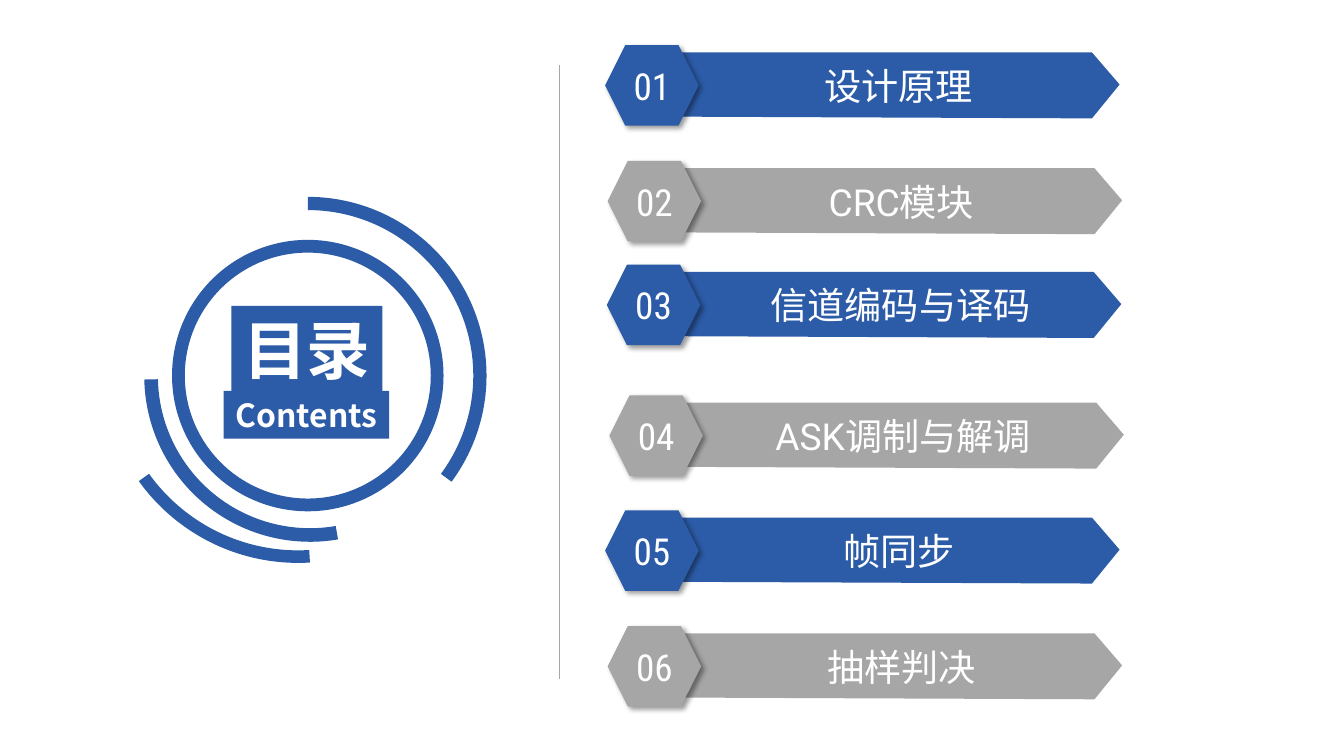
from dataclasses import dataclass

from lxml import etree
from pptx import Presentation
from pptx import util as u
from pptx.dml.color import RGBColor
from pptx.enum import shapes, text
from pptx.oxml.ns import qn

BLUE = RGBColor(0x2C, 0x5C, 0xA8)
GRAY = RGBColor(0xA6, 0xA6, 0xA6)
WHITE = RGBColor(0xFF, 0xFF, 0xFF)
HAN = "Noto Sans CJK SC"
KIND = shapes.MSO_SHAPE


@dataclass
class Row:
    left: float
    top: float
    label: str


@dataclass
class Ring:
    left: float
    top: float
    size: float
    kind: shapes.MSO_SHAPE
    bends: tuple[float, ...]
    turned: bool = False


@dataclass
class Plate:
    left: float
    top: float
    width: float
    height: float
    label: str
    size: float


ROWS = [
    Row(455.8, 34, "设计原理"),
    Row(457.7, 121.2, "CRC模块"),
    Row(457.1, 199.4, "信道编码与译码"),
    Row(459, 297.8, "ASK调制与解调"),
    Row(455.8, 384.4, "帧同步"),
    Row(457.7, 471.6, "抽样判决"),
]
PLATES = [
    Plate(174.2, 230.4, 113.8, 65.5, "目录", 48),
    Plate(168.5, 294.5, 124.6, 36, "Contents", 24),
]
RINGS = [
    Ring(97.2, 148.3, 269.3, KIND.BLOCK_ARC, (162.03, 21.86, 0.037)),
    Ring(108.7, 158.4, 249.8, KIND.BLOCK_ARC, (162.73, 5.82, 0.041), True),
    Ring(129.6, 180.7, 204.5, KIND.DONUT, (0.047,)),
    Ring(77, 128.9, 295.2, KIND.BLOCK_ARC, (183.38, 2.08, 0.032), True),
]
# Bar outline, measured from its top left corner
BAR = [(0, 0), (311.8, 0), (332.6, 24.2), (311.8, 49.7), (0, 48.4)]


def write(shape, words: str, *, size: float, font: str,
          bold: bool = False, wrap: bool = True) -> None:
    frame = shape.text_frame
    frame.word_wrap = wrap
    frame.vertical_anchor = text.MSO_ANCHOR.MIDDLE
    para = frame.paragraphs[0]
    para.alignment = text.PP_ALIGN.CENTER
    run = para.add_run()
    run.text = words
    run.font.size = u.Pt(size)
    run.font.bold = bold
    run.font.name = font
    run.font.color.rgb = WHITE
    etree.SubElement(run.font._element, qn("a:ea"), typeface=HAN)


def paint(shape, color: RGBColor) -> None:
    shape.shadow.inherit = False
    shape.fill.solid()
    shape.fill.fore_color.rgb = color
    shape.line.fill.background()


def add(slide, kind: shapes.MSO_SHAPE, left: float, top: float,
        width: float, height: float, color: RGBColor):
    shape = slide.shapes.add_shape(
        kind, u.Pt(left), u.Pt(top), u.Pt(width), u.Pt(height))
    paint(shape, color)
    return shape


def cast(shape) -> None:
    """Give the shape a soft shadow to the lower right."""
    effects = shape._element.spPr.find(qn("a:effectLst"))
    shade = etree.SubElement(
        effects, qn("a:outerShdw"), blurRad=str(u.Pt(4)), dist=str(u.Pt(3)),
        dir=str(45 * 60000), algn="tl", rotWithShape="0")
    black = etree.SubElement(shade, qn("a:srgbClr"), val="000000")
    etree.SubElement(black, qn("a:alpha"), val="40000")


def draw_row(slide, row: Row, index: int) -> None:
    color = GRAY if index % 2 else BLUE
    left, top = row.left + 54.9, row.top + 5.5
    points = [(u.Pt(left + x), u.Pt(top + y)) for x, y in BAR]
    pen = slide.shapes.build_freeform(*points[0])
    pen.add_line_segments(points[1:], close=True)
    bar = pen.convert_to_shape()
    paint(bar, color)
    write(bar, row.label, size=28, font="Roboto")

    badge = add(slide, KIND.HEXAGON, row.left, row.top, 70.4, 60.7, color)
    cast(badge)
    write(badge, f"{index + 1:02}", size=28, font="Roboto Condensed")


def draw_ring(slide, ring: Ring) -> None:
    shape = add(slide, ring.kind, ring.left, ring.top,
                ring.size, ring.size, BLUE)
    for i, bend in enumerate(ring.bends):
        shape.adjustments[i] = bend
    if ring.turned:
        shape.rotation = 90
        shape._element.spPr.find(qn("a:xfrm")).set("flipV", "1")


def draw_plate(slide, plate: Plate) -> None:
    shape = add(slide, KIND.RECTANGLE, plate.left, plate.top,
                plate.width, plate.height, BLUE)
    write(shape, plate.label, size=plate.size, font=HAN, bold=True, wrap=False)


def draw_rule(slide) -> None:
    rule = slide.shapes.add_connector(
        shapes.MSO_CONNECTOR.STRAIGHT,
        u.Pt(421.2), u.Pt(511.2), u.Pt(421.2), u.Pt(49))
    rule.line.color.rgb = GRAY
    rule.line.width = u.Pt(0.5)
    etree.SubElement(rule._element.spPr, qn("a:effectLst"))


def main() -> None:
    deck = Presentation()
    deck.slide_width, deck.slide_height = u.Pt(1012.3), u.Pt(569.5)
    slide = deck.slides.add_slide(deck.slide_layouts[6])

    # Title emblem
    for plate in PLATES:
        draw_plate(slide, plate)
    for ring in RINGS:
        draw_ring(slide, ring)

    # Divider and list of topics
    draw_rule(slide)
    for index, row in enumerate(ROWS):
        draw_row(slide, row, index)

    deck.save("out.pptx")


if __name__ == "__main__":
    main()
